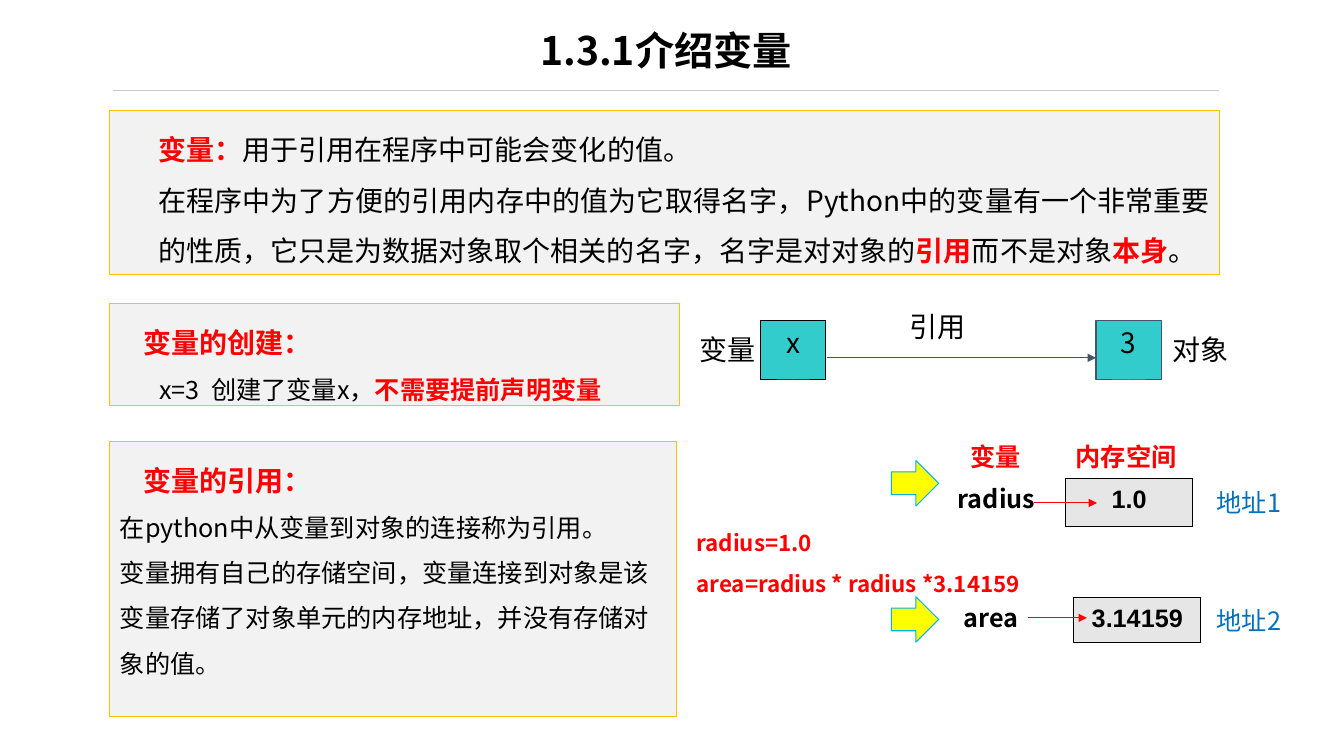
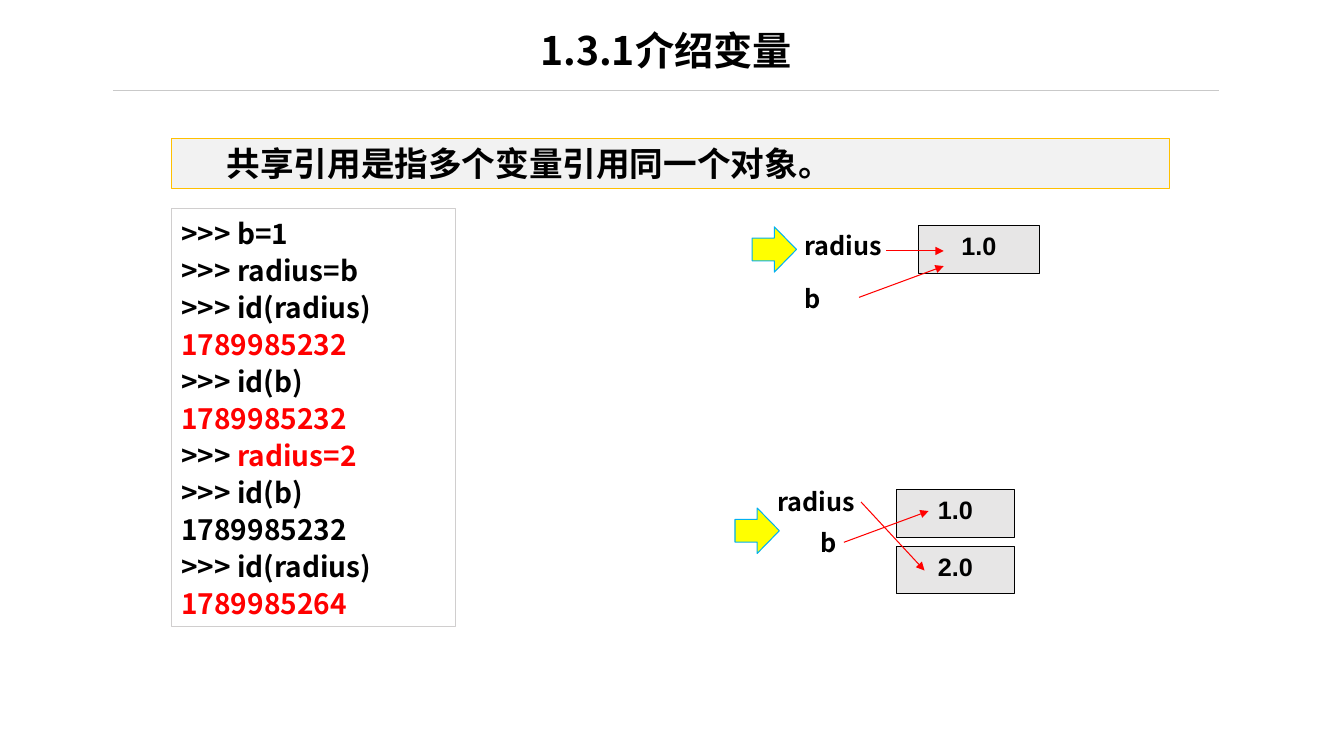
from lxml import etree
from pptx import Presentation
from pptx import util as u
from pptx.dml.color import RGBColor
from pptx.enum import shapes, text
from pptx.oxml.ns import qn

FACE = "Noto Sans CJK SC"
BLACK, RED, BLUE = "000000", "FF0000", "0070C0"
PALE, GOLD, GREY, TEAL, SLATE = "F2F2F2", "FFC000", "E7E6E6", "33CCCC", "44546A"
ALIGN = {"l": text.PP_ALIGN.LEFT, "c": text.PP_ALIGN.CENTER,
         "r": text.PP_ALIGN.RIGHT, "j": text.PP_ALIGN.JUSTIFY}


def rgb(code):
    return RGBColor.from_string(code)


def inch(*nums):
    return [u.Inches(n) for n in nums]


class Deck:
    def __init__(self):
        self.prs = Presentation()
        self.prs.slide_width, self.prs.slide_height = inch(13.33, 7.5)

    def page(self, title):
        """Start a slide with the shared rule and title."""
        self.slide = self.prs.slides.add_slide(self.prs.slide_layouts[6])
        self.line(1.12, 0.9, 12.09, 0.9, "C9C9C9", 1, head=False)
        self.label(2.9, 0.21, title, 7.41, 0.57, size=28, align="c")

    def fill_text(self, shape, paras, size=18, color=BLACK, bold=True, face=FACE,
                  align="l", space=1, pad=None, indents=()):
        """Fill a shape; a run is text or (text, changed font values)."""
        frame = shape.text_frame
        edge = (0.1, 0.05) if pad is None else (pad, pad)
        form = {"word_wrap": True, "vertical_anchor": text.MSO_ANCHOR.TOP,
                "margin_left": u.Inches(edge[0]), "margin_right": u.Inches(edge[0]),
                "margin_top": u.Inches(edge[1]), "margin_bottom": u.Inches(edge[1])}
        for key, val in form.items():
            setattr(frame, key, val)
        for i, runs in enumerate(paras):
            para = frame.paragraphs[0] if i == 0 else frame.add_paragraph()
            para.alignment, para.line_spacing = ALIGN[align], space
            if i < len(indents):
                para._p.get_or_add_pPr().set("marL", str(u.Inches(indents[i])))
            for part in runs:
                words, diff = (part, {}) if isinstance(part, str) else part
                look = {"size": size, "color": color, "bold": bold} | diff
                run = para.add_run()
                run.text = words
                font = run.font
                for key, val in {"name": face, "bold": look["bold"],
                                 "size": u.Pt(look["size"])}.items():
                    setattr(font, key, val)
                font.color.rgb = rgb(look["color"])
                etree.SubElement(run._r.get_or_add_rPr(), qn("a:ea"), typeface=face)

    def label(self, x, y, words, w=1.02, h=0.4, **style):
        self.block(x, y, w, h, [[words]], **style)

    def block(self, x, y, w, h, paras, **style):
        self.fill_text(self.slide.shapes.add_textbox(*inch(x, y, w, h)), paras, **style)

    def shape(self, kind, x, y, w, h, fill, edge):
        item = self.slide.shapes.add_shape(kind, *inch(x, y, w, h))
        item.shadow.inherit = False
        item.fill.solid()
        item.fill.fore_color.rgb = rgb(fill)
        item.line.color.rgb = rgb(edge)
        item.line.width = u.Pt(0.75)
        return item

    def panel(self, x, y, w, h, paras, fill=PALE, edge=GOLD, **style):
        item = self.shape(shapes.MSO_SHAPE.RECTANGLE, x, y, w, h, fill, edge)
        self.fill_text(item, paras, **style)

    def cell(self, x, y, w, words, h=0.47):
        """Draw a memory cell that holds a value."""
        self.panel(x, y, w, h, [[words]], GREY, BLACK, face="Arial", align="c")

    def node(self, x, words, edge):
        self.panel(x, 3.18, 0.65, 0.59, [[words]], TEAL, edge,
                   size=20, bold=False, align="c")

    def arrow(self, x, y, w=0.44):
        self.shape(shapes.MSO_SHAPE.RIGHT_ARROW, x, y, w, 0.45, "FFFF00", "00B0F0")

    def line(self, x1, y1, x2, y2, color=RED, width=0.75, head=True):
        item = self.slide.shapes.add_connector(
            shapes.MSO_CONNECTOR.STRAIGHT, *inch(x1, y1, x2, y2))
        item.line.color.rgb = rgb(color)
        item.line.width = u.Pt(width)
        if head:
            etree.SubElement(item.line._get_or_add_ln(), qn("a:tailEnd"), type="triangle")
        etree.SubElement(item._element.spPr, qn("a:effectLst"))


def intro(deck):
    deck.page("1.3.1介绍变量")
    key = {"color": RED, "bold": True}
    head = key | {"size": 20}
    deck.panel(1.09, 1.1, 11.01, 1.62, [
        [("变量：", key), "用于引用在程序中可能会变化的值。"],
        ["在程序中为了方便的引用内存中的值为它取得名字，Python中的变量有一个非常重要的性质，"
         "它只是为数据对象取个相关的名字，名字是对对象的",
         ("引用", key), "而不是对象", ("本身", key), "。"],
    ], size=20, bold=False, align="j", space=1.5, indents=(0.38, 0.38))
    deck.panel(1.09, 3.01, 5.65, 1.01, [
        [("变量的创建：", head)],
        ["x=3  创建了变量x，", ("不需要提前声明变量", key)],
    ], bold=False, space=1.5, indents=(0.23, 0.39))
    deck.panel(1.09, 4.38, 5.62, 2.73, [
        [("变量的引用：", head)],
        ["在python中从变量到对象的连接称为引用。"],
        ["变量拥有自己的存储空间，变量连接到对象是该变量存储了对象单元的内存地址，"
         "并没有存储对象的值。"],
    ], bold=False, space=1.5, indents=(0.23,))

    deck.node(7.54, "x", BLACK)
    deck.node(10.87, "3", SLATE)
    deck.line(8.2, 3.55, 10.87, 3.55, SLATE)
    for x, y, words, align in ((6.88, 3.3, "变量", "r"), (11.63, 3.3, "对象", "l"),
                               (8.97, 3.07, "引用", "r")):
        deck.label(x, y, words, 0.61, 0.63, size=20, bold=False, align=align, pad=0)

    deck.block(6.81, 5.07, 3.68, 0.86,
               [["radius=1.0"], ["area=radius * radius *3.14159"]],
               size=16, color=RED, space=1.5)
    deck.label(9.53, 4.33, "变量", color=RED)
    deck.label(10.57, 4.33, "内存空间", 1.24, color=RED)
    deck.arrow(8.84, 4.57, 0.47)
    deck.cell(10.57, 4.75, 1.26, "1.0")
    deck.label(9.4, 4.75, "radius")
    deck.line(10.26, 4.99, 10.88, 4.99)
    deck.arrow(8.84, 5.92, 0.47)
    deck.cell(10.65, 5.93, 1.26, "3.14159", 0.44)
    deck.label(9.46, 5.93, "area")
    deck.line(10.2, 6.13, 10.78, 6.13)
    for y, words in ((4.79, "地址1"), (5.96, "地址2")):
        deck.label(11.97, y, words, 1.3, color=BLUE, bold=False)


def share(deck):
    deck.page("1.3.1介绍变量")
    deck.panel(1.7, 1.37, 9.9, 0.5, [["共享引用是指多个变量引用同一个对象。"]],
               size=24, indents=(0.45,))
    red = {"color": RED}
    deck.panel(1.7, 2.07, 2.82, 4.15, [
        [">>> b=1"],
        [">>> radius=b"],
        [">>> id(radius)"],
        [("1789985232", red)],
        [">>> id(b)"],
        [("1789985232", red)],
        [">>> ", ("radius=2", red)],
        [">>> id(b)"],
        ["1789985232"],
        [">>> id(radius)"],
        [("1789985264", red)],
    ], "FFFFFF", "D0CECE", size=20, space=1.1)

    deck.arrow(7.46, 2.25)
    deck.cell(9.11, 2.24, 1.2, "1.0")
    deck.label(7.88, 2.24, "radius", 1.05)
    deck.label(7.88, 2.76, "b")
    deck.line(8.79, 2.49, 9.36, 2.49)
    deck.line(8.52, 2.95, 9.36, 2.64)

    deck.arrow(7.29, 5.04)
    for y, words in ((4.86, "1.0"), (5.42, "2.0")):
        deck.cell(8.89, y, 1.17, words)
    deck.label(7.61, 4.78, "radius", 1.16)
    deck.label(8.04, 5.18, "b", 0.74)
    deck.line(8.54, 4.98, 9.17, 5.66)
    deck.line(8.37, 5.38, 9.21, 5.07)


def main():
    deck = Deck()
    intro(deck)
    share(deck)
    deck.prs.save("out.pptx")


if __name__ == "__main__":
    main()
